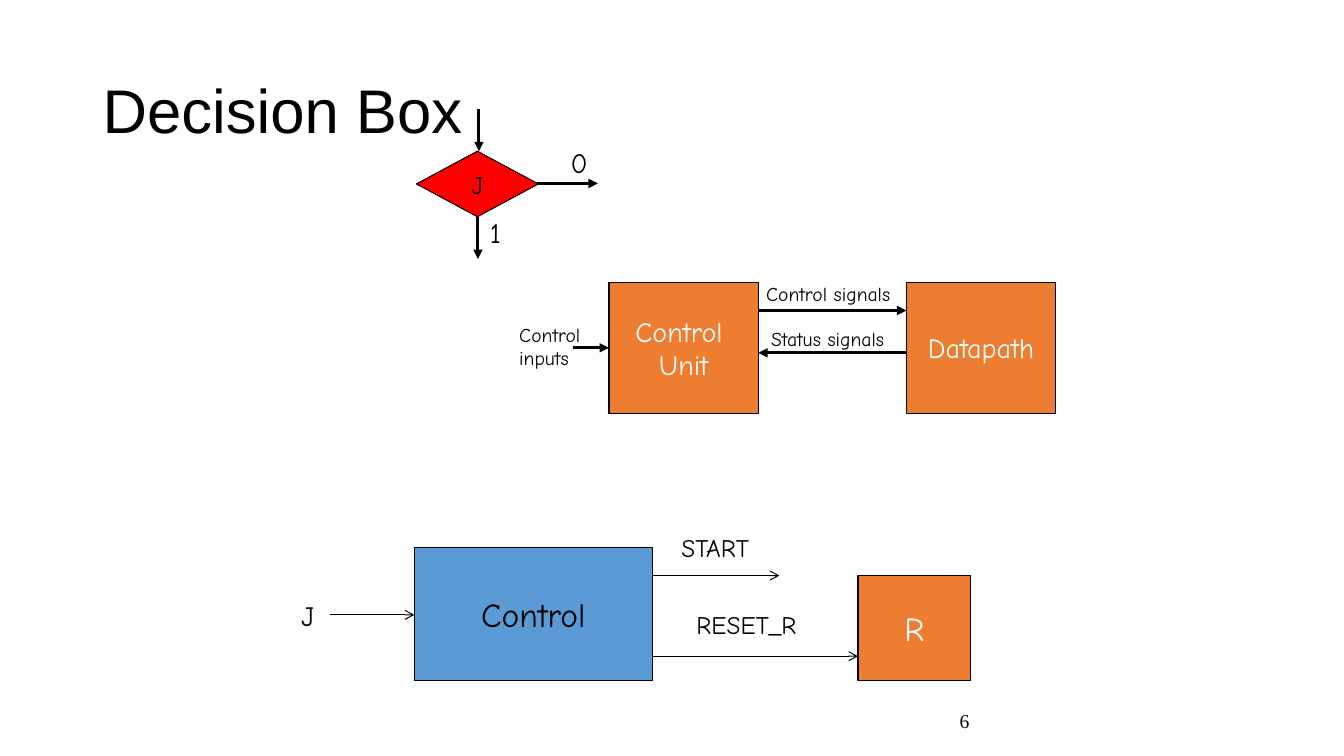
from dataclasses import dataclass

from lxml import etree
from pptx import Presentation
from pptx.dml.color import RGBColor
from pptx.enum.shapes import MSO_CONNECTOR, MSO_SHAPE
from pptx.enum.text import MSO_ANCHOR, PP_ALIGN
from pptx.oxml.ns import qn
from pptx.util import Inches, Pt

RECTANGLE = MSO_SHAPE.RECTANGLE
DECISION = MSO_SHAPE.FLOWCHART_DECISION
STRAIGHT = MSO_CONNECTOR.STRAIGHT
TOP, MIDDLE = MSO_ANCHOR.TOP, MSO_ANCHOR.MIDDLE
LEFT, CENTER = PP_ALIGN.LEFT, PP_ALIGN.CENTER


@dataclass(frozen=True)
class Theme:
    black: str = "000000"
    white: str = "FFFFFF"
    red: str = "FF0000"
    orange: str = "ED7D31"
    blue: str = "5B9BD5"
    title_font: str = "Arial"
    diagram_font: str = "Comic Neue"
    number_font: str = "Times New Roman"
    title: int = 44
    block: int = 24
    label: int = 20
    signal: int = 18
    small: int = 14
    thin: float = 0.75
    thick: float = 2.25


THEME = Theme()


def write(frame, text, size=THEME.label, font=THEME.diagram_font, color=THEME.black,
          align=LEFT, anchor=TOP, wrap=False, inset=None, spacing=None):
    """Fill a text frame, one paragraph per line of text."""
    frame.word_wrap = wrap
    frame.vertical_anchor = anchor
    if inset is not None:
        frame.margin_left = frame.margin_right = Inches(inset)
        frame.margin_top = frame.margin_bottom = Inches(inset)
    for index, line in enumerate(text.split("\n")):
        paragraph = frame.add_paragraph() if index else frame.paragraphs[0]
        paragraph.alignment = align
        paragraph.line_spacing = spacing
        run = paragraph.add_run()
        run.text = line
        run.font.size = Pt(size)
        run.font.name = font
        run.font.color.rgb = RGBColor.from_string(color)


def add_label(slide, box, text, **text_format):
    label = slide.shapes.add_textbox(*map(Inches, box))
    write(label.text_frame, text, **text_format)


def add_block(slide, kind, box, fill, text, **text_format):
    block = slide.shapes.add_shape(kind, *map(Inches, box))
    block.shadow.inherit = False
    block.fill.solid()
    block.fill.fore_color.rgb = RGBColor.from_string(fill)
    block.line.color.rgb = RGBColor.from_string(THEME.black)
    block.line.width = Pt(THEME.thin)
    write(block.text_frame, text, align=CENTER, anchor=MIDDLE, **text_format)


def add_arrow(slide, start, end, width=THEME.thick, head="triangle"):
    arrow = slide.shapes.add_connector(STRAIGHT, *map(Inches, (*start, *end)))
    arrow.line.color.rgb = RGBColor.from_string(THEME.black)
    arrow.line.width = Pt(width)
    etree.SubElement(arrow.line._get_or_add_ln(), qn("a:tailEnd"), type=head)
    etree.SubElement(arrow._element.spPr, qn("a:effectLst"))


def add_decision(slide):
    add_block(slide, DECISION, (4.13, 1.5, 1.21, 0.65), THEME.red, "J", size=THEME.signal)
    for start, end in (((4.75, 1.08), (4.75, 1.5)),
                       ((5.33, 1.82), (5.93, 1.82)),
                       ((4.74, 2.15), (4.74, 2.57))):
        add_arrow(slide, start, end)
    add_label(slide, (5.56, 1.39, 0.37, 0.43), "0", align=CENTER)
    add_label(slide, (4.75, 2.09, 0.33, 0.43), "1", align=CENTER)


def add_system(slide):
    top, width, height = 2.8, 1.48, 1.3
    unit_left, datapath_left = 6.04, 8.99
    unit_right = unit_left + width
    for left, name in ((unit_left, "Control \nUnit"), (datapath_left, "Datapath")):
        add_block(slide, RECTANGLE, (left, top, width, height), THEME.orange, name,
                  color=THEME.white)

    # Signals between the two units
    add_arrow(slide, (unit_right, 3.08), (datapath_left, 3.08))
    add_arrow(slide, (datapath_left, 3.5), (unit_right, 3.5))
    add_arrow(slide, (5.68, 3.45), (unit_left, 3.45))
    add_label(slide, (7.5, 2.75, 1.54, 0.34), "Control signals", size=THEME.small)
    add_label(slide, (7.55, 3.19, 1.49, 0.34), "Status signals", size=THEME.small)
    add_label(slide, (5.15, 3.2, 0.67, 0.47), "Control\ninputs", size=THEME.small, inset=0)


def add_control_example(slide):
    control_left, control_right, register_left = 4.11, 6.47, 8.51
    add_block(slide, RECTANGLE, (control_left, 5.43, control_right - control_left, 1.32),
              THEME.blue, "Control", size=THEME.block)
    add_block(slide, RECTANGLE, (register_left, 5.71, 1.12, 1.04), THEME.orange, "R",
              size=THEME.block, color=THEME.white)

    # Input and output signals
    for left, right, y in ((3.27, control_left, 6.1),
                           (control_right, 7.73, 5.71),
                           (control_right, register_left, 6.51)):
        add_arrow(slide, (left, y), (right, y), width=THEME.thin, head="arrow")
    add_label(slide, (2.89, 5.89, 0.39, 0.44), "J")
    add_label(slide, (6.66, 5.23, 1.06, 0.4), "START", size=THEME.signal)
    add_label(slide, (6.81, 6, 1.34, 0.4), "RESET_R", size=THEME.signal)


def main():
    deck = Presentation()
    deck.slide_width, deck.slide_height = Inches(13.33), Inches(7.5)
    slide = deck.slides.add_slide(deck.slide_layouts[6])

    # Title and page number
    add_label(slide, (0.92, 0.4, 11.5, 1.45), "Decision Box", size=THEME.title,
              font=THEME.title_font, anchor=MIDDLE, wrap=True, spacing=0.9)
    add_label(slide, (9.42, 6.95, 3, 0.4), "6", size=THEME.small,
              font=THEME.number_font, anchor=MIDDLE, wrap=True)

    # Diagrams
    add_decision(slide)
    add_system(slide)
    add_control_example(slide)
    deck.save("out.pptx")


main()
